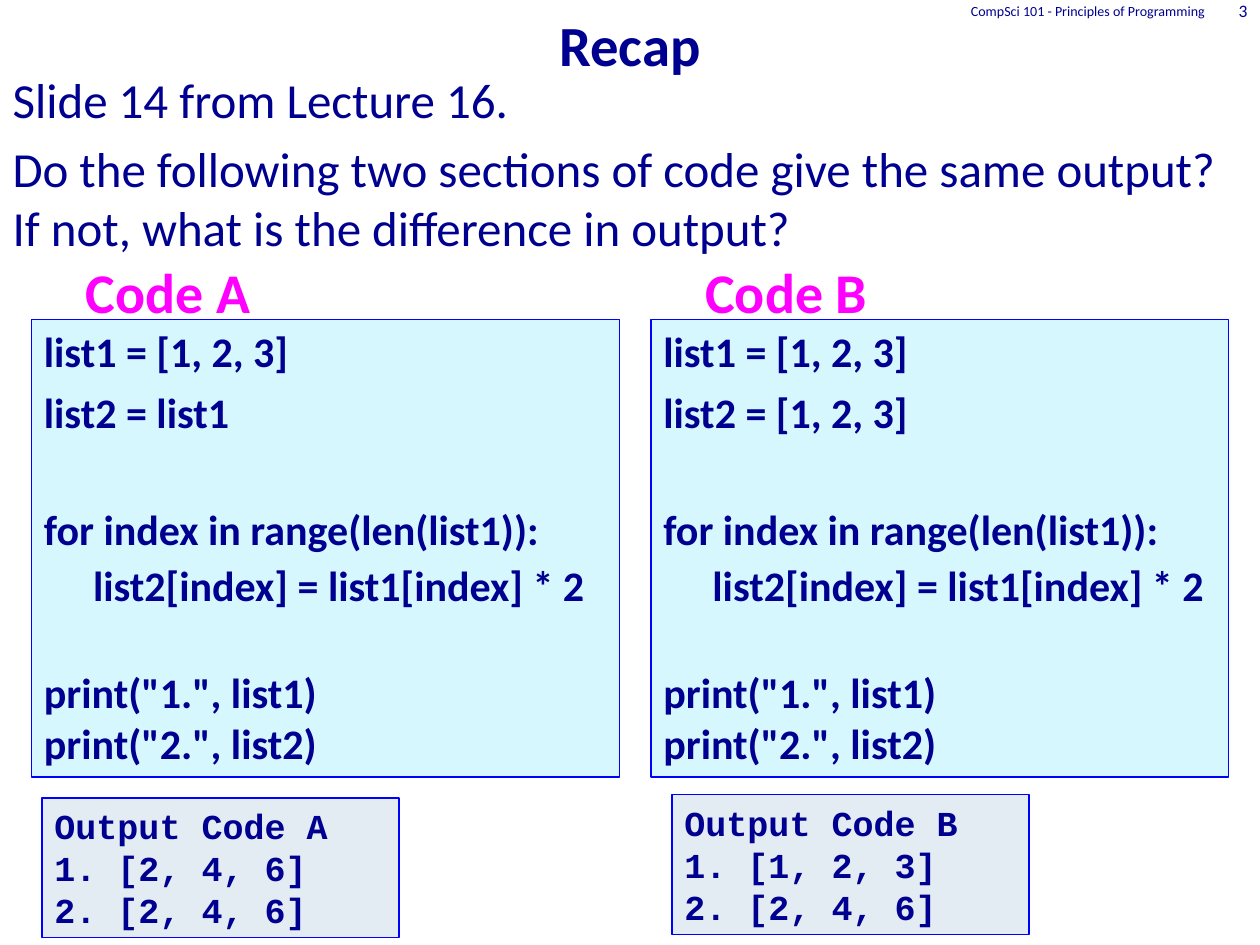
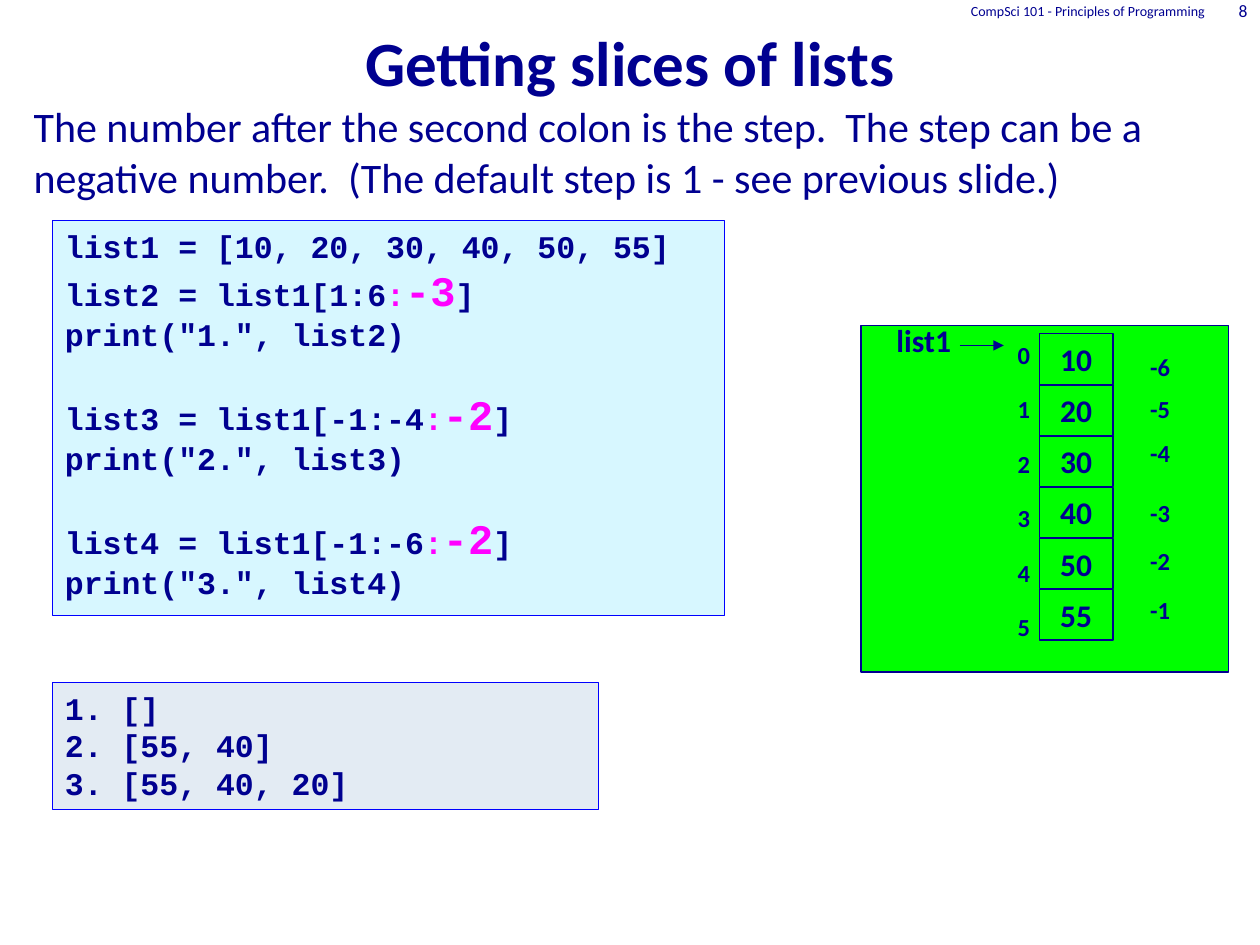
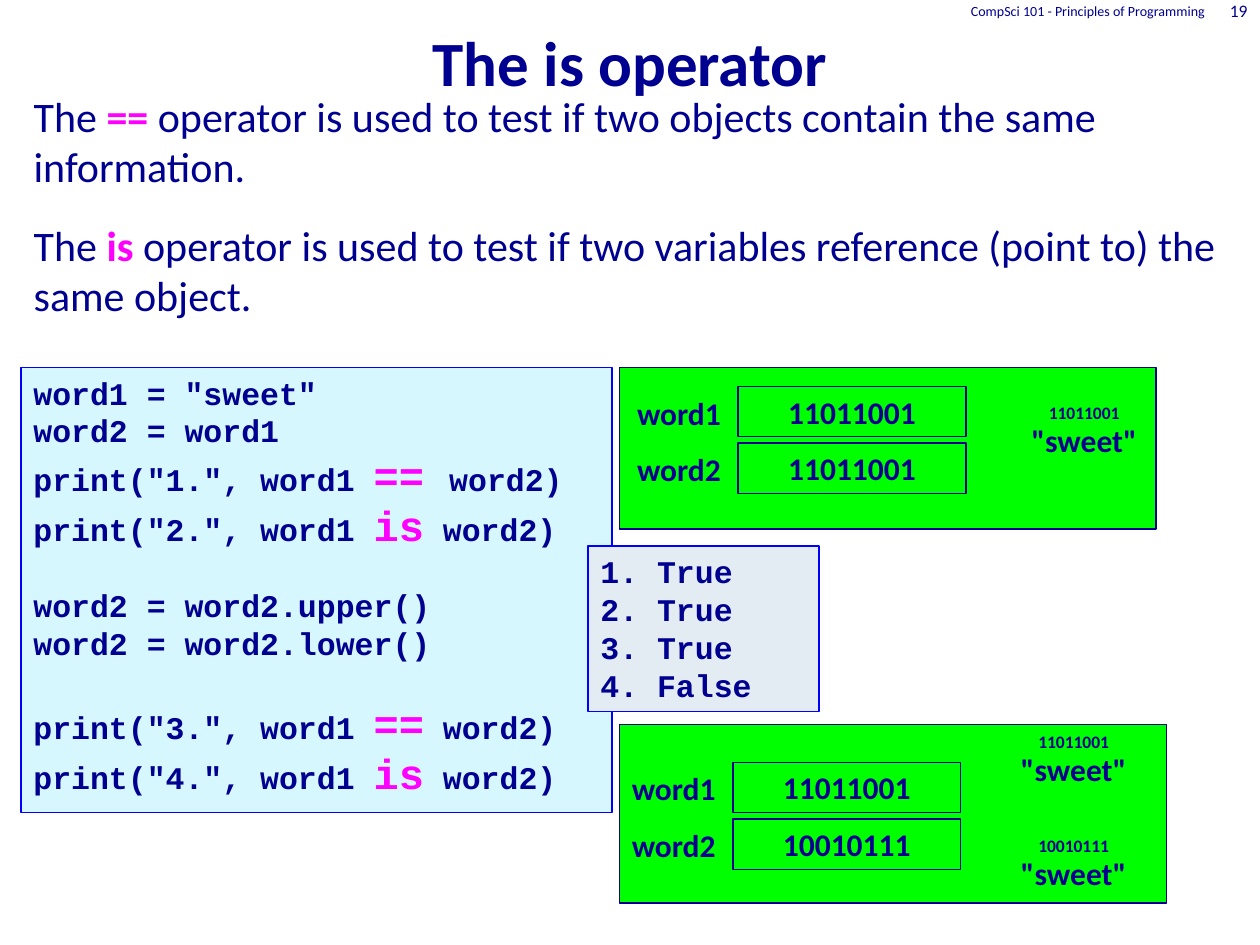
from dataclasses import dataclass

from lxml.etree import SubElement
from pptx import Presentation
from pptx.dml.color import RGBColor
from pptx.enum.shapes import MSO_CONNECTOR, MSO_SHAPE
from pptx.enum.text import MSO_ANCHOR, MSO_AUTO_SIZE, PP_ALIGN
from pptx.oxml.ns import qn
from pptx.util import Inches, Pt

NAVY = RGBColor(0x00, 0x00, 0x90)
BLUE = RGBColor(0x00, 0x00, 0xFF)
PINK = RGBColor(0xFF, 0x00, 0xFF)
CYAN = RGBColor(0xD7, 0xF7, 0xFF)
GREY = RGBColor(0xE3, 0xEB, 0xF3)
LIME = RGBColor(0x00, 0xFF, 0x00)
SANS, MONO = "Calibri", "Courier New"
LEFT, MID, RIGHT = PP_ALIGN.LEFT, PP_ALIGN.CENTER, PP_ALIGN.RIGHT

# The slide is a grid of 120 columns by 90 rows
WIDE, HIGH = Inches(10), Inches(7.5)
COLS, ROWS = 120, 90
CODE_GAP = 20.4  # one empty line of 18 point code


@dataclass
class Run:
    text: str
    size: float = None
    color: RGBColor = None
    bold: bool = None


@dataclass
class Para:
    runs: list
    before: float = 0
    lead: float = 1
    indent: float = 0


def hot(text, size=None):
    return Run(text, size, PINK, True)


def grid(col, row):
    return round(col * WIDE / COLS), round(row * HIGH / ROWS)


def place(shape, box):
    shape.left, shape.top = grid(*box[:2])
    shape.width, shape.height = grid(*box[2:])


def write(shape, paras, size, face=SANS, bold=False, color=NAVY,
          align=LEFT, anchor=MSO_ANCHOR.TOP):
    frame = shape.text_frame
    frame.word_wrap = True
    frame.auto_size = MSO_AUTO_SIZE.NONE
    frame.vertical_anchor = anchor
    for i, item in enumerate(paras):
        item = item if isinstance(item, Para) else Para([item])
        para = frame.paragraphs[0] if i == 0 else frame.add_paragraph()
        props = para._p.get_or_add_pPr()
        props.set("marL", str(Inches(item.indent)))
        props.set("indent", "0")
        SubElement(props, qn("a:buNone"))
        para.alignment = align
        para.space_before = Pt(item.before)
        para.line_spacing = item.lead
        for part in item.runs:
            part = part if isinstance(part, Run) else Run(part)
            run = para.add_run()
            run.text = part.text
            font = run.font
            font.name = face
            font.size = Pt(part.size or size)
            font.bold = bold if part.bold is None else part.bold
            font.color.rgb = part.color or color


def label(slide, box, text, size, **style):
    shape = slide.shapes.add_textbox(*grid(*box[:2]), *grid(*box[2:]))
    write(shape, [text], size, **style)


def rect(slide, box, fill=None, line=NAVY):
    shape = slide.shapes.add_shape(
        MSO_SHAPE.RECTANGLE, *grid(*box[:2]), *grid(*box[2:]))
    shape.shadow.inherit = False
    if fill is None:
        shape.fill.background()
    else:
        shape.fill.solid()
        shape.fill.fore_color.rgb = fill
    shape.line.color.rgb = line
    shape.line.width = Pt(0.75)
    return shape


def code(slide, box, paras, size=18, face=MONO):
    write(rect(slide, box, CYAN, BLUE), paras, size, face, bold=True)


def output(slide, box, lines, size=18):
    write(rect(slide, box, GREY, BLUE), lines, size, MONO, bold=True)


def cell(slide, box, text):
    write(rect(slide, box), [text], 18, bold=True, align=MID)


def arrow(slide, start, end):
    line = slide.shapes.add_connector(
        MSO_CONNECTOR.STRAIGHT, *grid(*start), *grid(*end))
    line.line.color.rgb = NAVY
    line.line.width = Pt(0.75)
    SubElement(line.line._get_or_add_ln(), qn("a:tailEnd"), type="triangle")
    SubElement(line._element.spPr, qn("a:effectLst"))


def page(deck, number, title, body, box, size, head=(10, 36)):
    """Add a slide with title, body text and the running header."""
    slide = deck.slides.add_slide(deck.slide_layouts[1])
    top, text = slide.placeholders
    high, points = head
    place(top, (0, 0, COLS, high))
    write(top, [title], points, bold=True, align=MID, anchor=MSO_ANCHOR.BOTTOM)
    place(text, box)
    write(text, body, size)
    for spot, words, small in (
            ((80, 0, 36, 2), "CompSci 101 - Principles of Programming", 8),
            ((113, 0, 7, 2), str(number), 10)):
        label(slide, spot, words, small, align=RIGHT, anchor=MSO_ANCHOR.MIDDLE)
    return slide


def column(slide, left, wide, top, letter, second, first_out):
    """One program with its heading and output."""
    x = left + 2
    label(slide, (x + 2, 23.9, 24, 7.7), f"Code {letter}", 32,
          bold=True, color=PINK)
    code(slide, (left, 30.4, wide, 43.6), [
        "list1 = [1, 2, 3]",
        Para([f"list2 = {second}"], 6),
        Para(["for index in range(len(list1)):"], 41.3, 0.9),
        Para(["list2[index] = list1[index] * 2"], 6, 0.9, 0.39),
        Para(['print("1.", list1)'], 32.4),
        'print("2.", list2)'], 24, SANS)
    output(slide, (x - 1 if letter == "A" else x, top, 34, 13.3),
           [f"Output Code {letter}", f"1. {first_out}", "2. [2, 4, 6]"], 20)


def recap(deck):
    slide = page(deck, 3, "Recap", [
        "Slide 14 from Lecture 16.",
        Para(["Do the following two sections of code give the same output? "
              "If not, what is the difference in output?"], 6)],
        (0, 6, COLS, 73), 28, (8, 32.4))
    column(slide, 3, 56, 76, "A", "list1", "[2, 4, 6]")
    column(slide, 62, 55, 75.7, "B", "[1, 2, 3]", "[1, 2, 3]")


def memory(slide, box, values):
    """List cells with indexes counted from both ends."""
    x, y = box[:2]
    rect(slide, box, LIME)
    label(slide, (x + 2.2, y - 1, 8, 4.8), "list1", 18, bold=True)
    arrow(slide, (x + 9.4, y + 1.9), (x + 13.6, y + 1.9))
    backs = (1.9, 5.9, 10.1, 15.8, 20.4, 25.1)
    for i, (value, back) in enumerate(zip(values, backs)):
        cell(slide, (x + 17, y + 0.8 + 4.87 * i, 7, 4.8), str(value))
        for col, row, mark in ((12, 0.8 + 5.18 * i, i),
                               (25, back, i - len(values))):
            label(slide, (x + col, y + row, 7, 4), str(mark), 14,
                  bold=True, align=MID)


def slices(deck):
    slide = page(deck, 8, "Getting slices of lists", [
        "The number after the second colon is the step.  The step can be a "
        "negative number.  (The default step is 1 - see previous slide.)"],
        (2, 9, 116.4, 76), 24)
    lines = ["list1 = [10, 20, 30, 40, 50, 55]"]
    cuts = (("1:6", "-3"), ("-1:-4", "-2"), ("-1:-6", "-2"))
    for i, (span, step) in enumerate(cuts, 1):
        lines += [
            Para([f"list{i + 1} = list1[{span}", hot(":"), hot(step, 24), "]"],
                 CODE_GAP if i > 1 else 0),
            f'print("{i}.", list{i + 1})']
    code(slide, (5, 21, 64, 37.6), lines)
    output(slide, (5, 65, 52, 12.1),
           ["1. []", "2. [55, 40]", "3. [55, 40, 20]"])
    memory(slide, (82, 31, 35, 33), (10, 20, 30, 40, 50, 55))


def names(slide, box, shift, top, refs, things):
    """Variables with the addresses they hold, and the objects there."""
    x, y = box[:2]
    rect(slide, box, LIME)
    for i, ref in enumerate(refs):
        row = y + top + 5.4 * i
        label(slide, (x + shift, row + 0.1, 12, 4.8), f"word{i + 1}", 18,
              bold=True)
        cell(slide, (x + shift + 10.8, row, 21.7, 4.8), ref)
    for col, row, ref in things:
        for drop, high, text, size in ((0, 3.2, ref, 10),
                                       (1.8, 4.8, '"sweet"', 18)):
            label(slide, (x + col, y + row + drop, 18.5, high), text, size,
                  bold=True, align=MID)


def identity(deck):
    slide = page(deck, 19, "The is operator", [
        Para(["The ", hot("== "), "operator is used to test if two objects "
              "contain the same information."]),
        Para(["The ", hot("is "), "operator is used to test if two variables "
              "reference (point to) the same object."], 16)],
        (2, 8, 116.4, 76), 24)

    def test(number, sign, before=0):
        gap = [hot("== ", 24)] if number == 1 else [hot(sign, 24), " "]
        return Para([f'print("{number}.", word1 ', *gap, "word2)"], before)

    code(slide, (2, 35, 56.3, 42.4), [
        'word1 = "sweet"', "word2 = word1", test(1, "=="), test(2, "is"),
        Para(["word2 = word2.upper()"], CODE_GAP), "word2 = word2.lower()",
        test(3, "==", CODE_GAP), test(4, "is")])
    old, new = "11011001", "10010111"
    names(slide, (59, 35, 51.1, 15.4), 0.5, 1.8, (old, old),
          [(35, 2.7, old)])
    names(slide, (59, 69, 52.1, 17), 0, 3.6, (old, new),
          [(34, 0, old), (34, 9.9, new)])
    output(slide, (56, 52, 22, 15.8),
           ["1. True", "2. True", "3. True", "4. False"])


def main():
    deck = Presentation()
    deck.slide_width, deck.slide_height = WIDE, HIGH
    for build in (recap, slices, identity):
        build(deck)
    deck.save("out.pptx")


if __name__ == "__main__":
    main()
